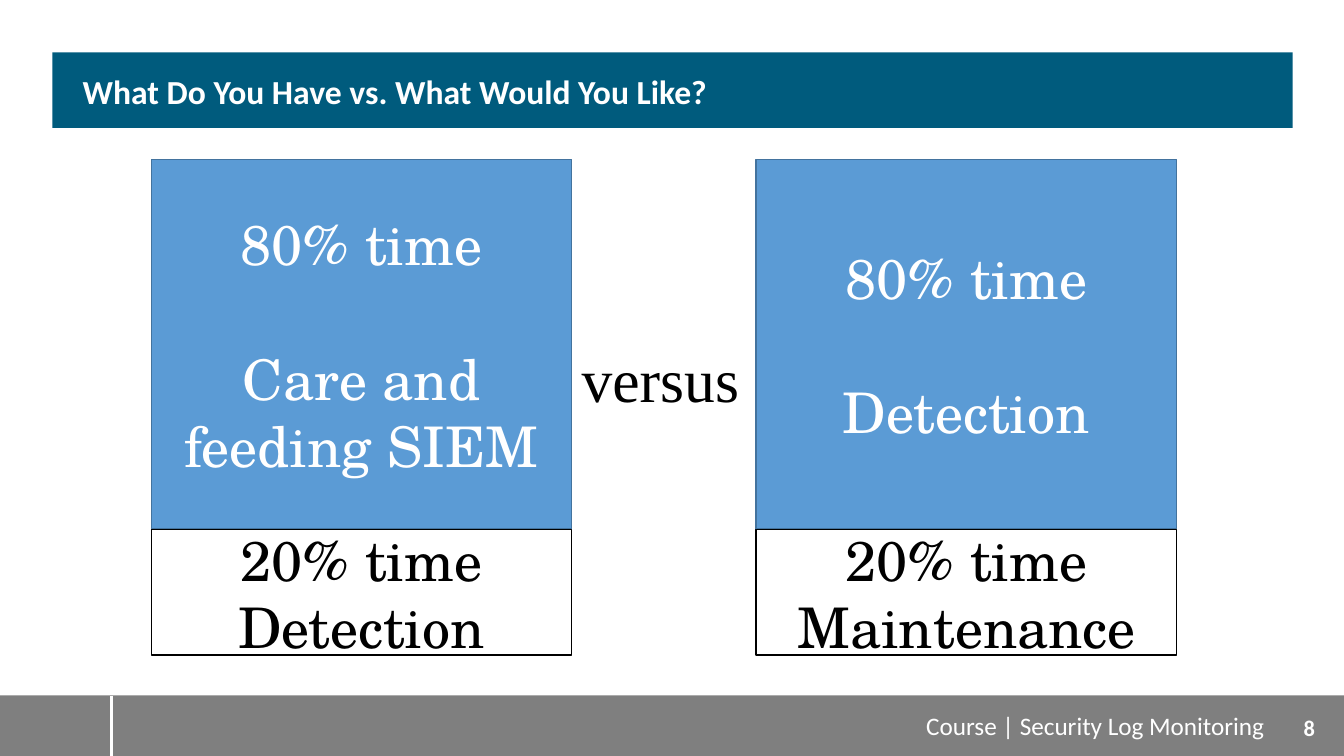
from lxml import etree
from pptx import Presentation, util as u
from pptx.dml.color import RGBColor
from pptx.enum import shapes, text
from pptx.oxml.ns import qn

theme = {
    "banner": "005B7D", "footer": "7F7F7F", "major": "5B9BD5", "major_edge": "43739E",
    "light": "FFFFFF", "dark": "000000",
    "sans": "Calibri", "book": "TeX Gyre Schola", "serif": "Times New Roman",
    "title": 24, "share": 40, "versus": 44, "course": 18, "number": 16,
}
LEFT, CENTER, RIGHT = text.PP_ALIGN.LEFT, text.PP_ALIGN.CENTER, text.PP_ALIGN.RIGHT
TOP, MIDDLE = text.MSO_ANCHOR.TOP, text.MSO_ANCHOR.MIDDLE

deck = Presentation()
deck.slide_width, deck.slide_height = u.Inches(13.33), u.Inches(7.5)
slide = deck.slides.add_slide(deck.slide_layouts[5])


def block(box, fill, edge=None):
    shape = slide.shapes.add_shape(shapes.MSO_SHAPE.RECTANGLE, *map(u.Inches, box))
    shape.shadow.inherit = False
    shape.fill.solid()
    shape.fill.fore_color.rgb = RGBColor.from_string(theme[fill])
    if edge:
        shape.line.color.rgb = RGBColor.from_string(theme[edge])
        shape.line.width = u.Pt(1)
    else:
        shape.line.fill.background()
    return shape


def write(words, on=None, box=None, font="sans", size="share", color="light",
          bold=False, align=CENTER, anchor=MIDDLE, gap=0, spacing=1.0):
    holder = on or slide.shapes.add_textbox(*map(u.Inches, box))
    frame = holder.text_frame
    frame.word_wrap = True
    frame.auto_size = text.MSO_AUTO_SIZE.NONE
    frame.vertical_anchor = anchor
    frame.text = words
    for i, paragraph in enumerate(frame.paragraphs):
        paragraph.alignment = align
        paragraph.line_spacing = spacing
        paragraph.space_before = u.Pt(gap if i else 0)
        paragraph.font.name = theme[font]
        paragraph.font.size = u.Pt(theme[size])
        paragraph.font.bold = bold
        paragraph.font.color.rgb = RGBColor.from_string(theme[color])
    return frame


# Footer band with divider, course name and page number
block((0, 6.9, 13.33, 0.6), "footer")
divider = slide.shapes.add_connector(
    shapes.MSO_CONNECTOR.STRAIGHT, *map(u.Inches, (1.11, 6.9, 1.11, 7.5)))
divider.line.color.rgb = RGBColor.from_string(theme["light"])
divider.line.width = u.Pt(2)
etree.SubElement(divider._element.spPr, qn("a:effectLst"))
write("Course | Security Log Monitoring", box=(5.97, 7, 6.67, 0.4),
      size="course", align=RIGHT, anchor=TOP)
write("8", box=(12.64, 6.92, 0.69, 0.6), size="number", bold=True)

# Title on its banner, which goes behind the placeholder
banner = block((0.52, 0.52, 12.3, 0.75), "banner")
title = slide.shapes.title
title._element.addprevious(banner._element)
title.left, title.top, title.width, title.height = map(u.Inches, (0.72, 0.52, 11.9, 0.75))
heading = write("What Do You Have vs. What Would You Like?", on=title,
                size="title", bold=True, align=LEFT, spacing=0.9)
heading.margin_left = heading.margin_right = u.Inches(0.1)
heading.margin_top, heading.margin_bottom = u.Inches(0.07), 0

# Two columns, each split into a large and a small share of time
column_width, split = 4.17, 5.25
large_height, small_height = 3.67, 1.25
columns = [
    (1.5, "Care and feeding SIEM", "Detection"),
    (7.5, "Detection", "Maintenance"),
]
for left, large_task, small_task in columns:
    large = block((left, split - large_height, column_width, large_height),
                  "major", "major_edge")
    write(f"80% time\n{large_task}", on=large, font="book", gap=48)
    small = block((left, split, column_width, small_height), "light", "dark")
    write(f"20% time\n{small_task}", on=small, font="book", color="dark")

# Word between the columns
write("versus", box=(5.67, 3.33, 1.83, 0.84), font="serif", size="versus",
      color="dark", align=LEFT, anchor=TOP)

deck.save("out.pptx")
